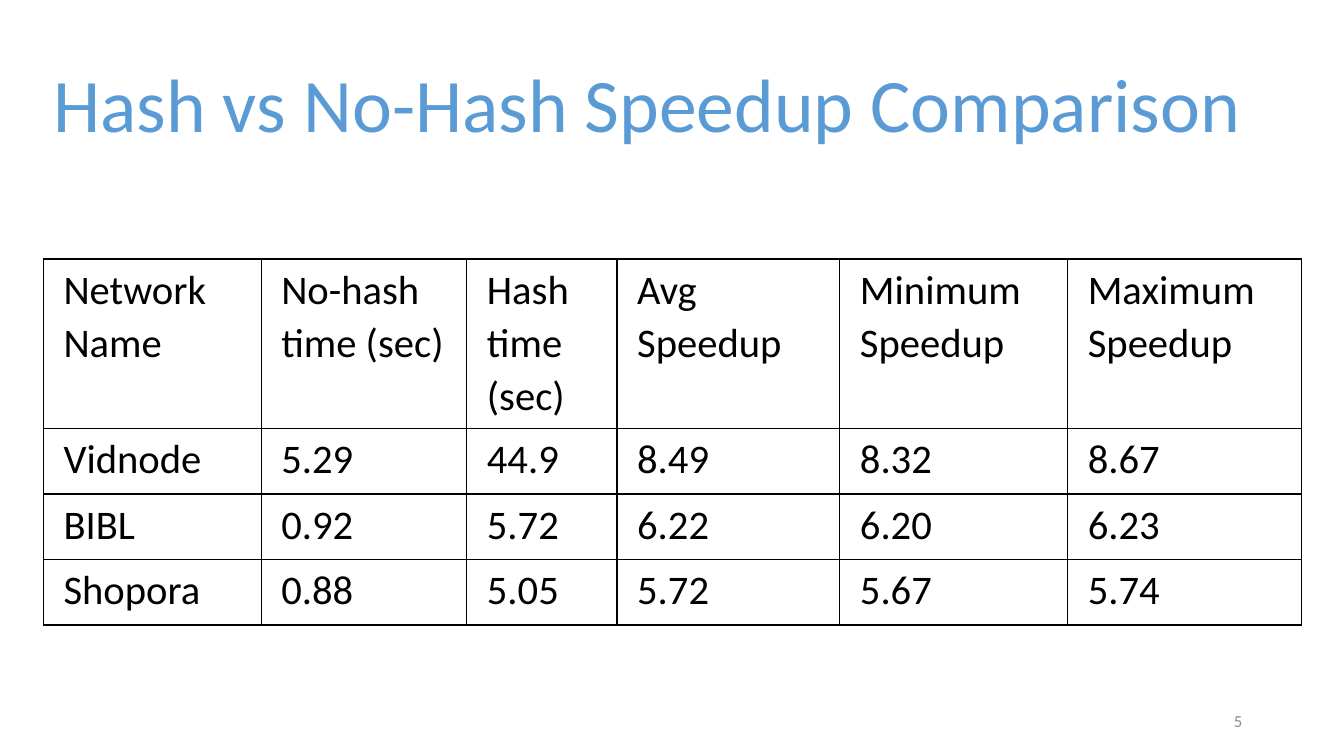
from dataclasses import dataclass

from lxml.etree import SubElement
from pptx import Presentation
from pptx.dml.color import RGBColor as RGB
from pptx.enum.text import MSO_ANCHOR as Anchor, PP_ALIGN as Align
from pptx.oxml.ns import qn
from pptx.util import Inches, Pt


@dataclass(frozen=True)
class Theme:
    font: str = "Calibri"
    title_color: str = "5B9BD5"
    text_color: str = "000000"
    number_color: str = "8C8C8C"
    border_color: str = "000000"
    title_size: int = 54
    table_size: int = 29
    number_size: int = 12
    border_width: int = 1


HEADERS = ["Network Name", "No-hash time (sec)", "Hash time (sec)",
           "Avg Speedup", "Minimum Speedup", "Maximum Speedup"]
RESULTS = [
    ["Vidnode", "5.29", "44.9", "8.49", "8.32", "8.67"],
    ["BIBL", "0.92", "5.72", "6.22", "6.20", "6.23"],
    ["Shopora", "0.88", "5.05", "5.72", "5.67", "5.74"],
]
COL_WIDTHS = [2.16, 2.04, 1.49, 2.21, 2.26, 2.32]
ROW_HEIGHTS = [1.68] + [0.65] * len(RESULTS)


class SlideBuilder:
    def __init__(self, slide, theme):
        self.slide = slide
        self.theme = theme

    def style(self, p, size, color, spacing=None):
        p.line_spacing = spacing
        for r in p.runs:
            r.font.name = self.theme.font
            r.font.size = Pt(size)
            r.font.color.rgb = RGB.from_string(color)

    def text(self, text, box, size, color, spacing=None, align=Align.LEFT):
        sp = self.slide.shapes.add_textbox(*map(Inches, box))
        tf = sp.text_frame
        tf.word_wrap = True
        tf.vertical_anchor = Anchor.MIDDLE
        tf.text = text
        p = tf.paragraphs[0]
        p.alignment = align
        self.style(p, size, color, spacing)
        return p

    def border(self, cell):
        """Draw all four cell edges; the schema wants them before the fill."""
        tc_pr = cell._tc.get_or_add_tcPr()
        for i, edge in enumerate(("a:lnL", "a:lnR", "a:lnT", "a:lnB")):
            ln = SubElement(tc_pr, qn(edge), w=str(Pt(self.theme.border_width)))
            fill = SubElement(ln, qn("a:solidFill"))
            SubElement(fill, qn("a:srgbClr"), val=self.theme.border_color)
            tc_pr.insert(i, ln)

    def cell(self, cell, text):
        cell.margin_left = cell.margin_right = Inches(0.2)
        cell.margin_top, cell.margin_bottom = Inches(0.03), Inches(0)
        cell.fill.background()
        self.border(cell)
        cell.text_frame.text = text
        self.style(cell.text_frame.paragraphs[0], self.theme.table_size,
                   self.theme.text_color, 1.07)

    def table(self, rows, left, top, widths, heights):
        box = (left, top, sum(widths), sum(heights))
        frame = self.slide.shapes.add_table(len(rows), len(widths), *map(Inches, box))
        table = frame.table
        table.first_row = table.horz_banding = False
        for col, width in zip(table.columns, widths):
            col.width = Inches(width)
        for row, height, values in zip(table.rows, heights, rows):
            row.height = Inches(height)
            for cell, value in zip(row.cells, values):
                self.cell(cell, value)


def main():
    prs = Presentation()
    prs.slide_width, prs.slide_height = Inches(13.33), Inches(7.5)
    theme = Theme()
    s = SlideBuilder(prs.slides.add_slide(prs.slide_layouts[6]), theme)
    s.text("Hash vs No-Hash Speedup Comparison", (0.43, 0.35, 12.48, 1.45),
           theme.title_size, theme.title_color, 0.9)
    number = s.text("5", (9.42, 6.95, 3, 0.4), theme.number_size,
                    theme.number_color, align=Align.RIGHT)
    number.space_after = Pt(6)
    s.table([HEADERS] + RESULTS, 0.43, 2.57, COL_WIDTHS, ROW_HEIGHTS)
    prs.save("out.pptx")


if __name__ == "__main__":
    main()
